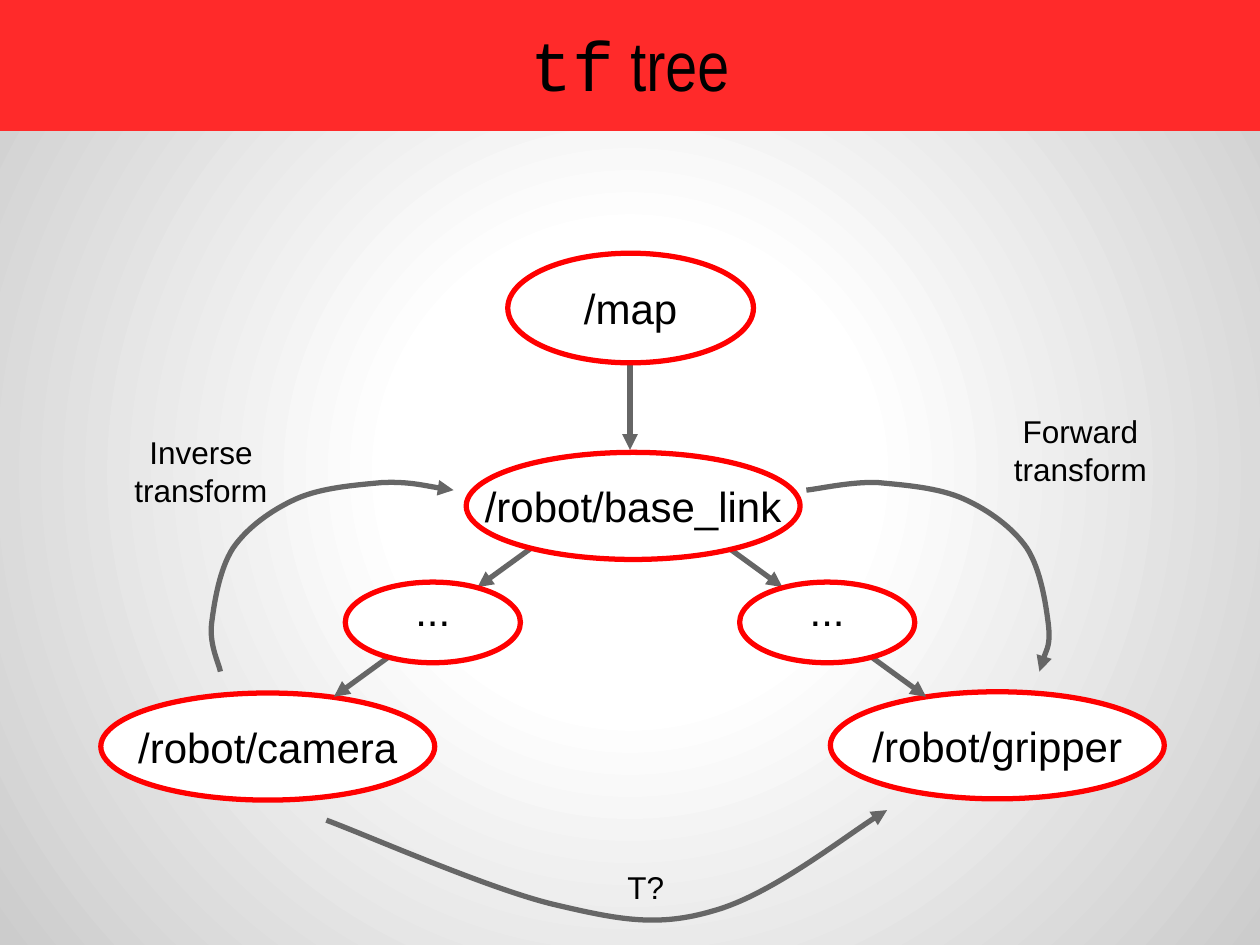
from dataclasses import dataclass

import lxml.etree
import pptx
import pptx.dml.color
import pptx.enum.dml
import pptx.enum.shapes
import pptx.enum.text
import pptx.oxml
import pptx.oxml.ns
import pptx.util

Inches = pptx.util.Inches
Pt = pptx.util.Pt
RGBColor = pptx.dml.color.RGBColor
ShapeKind = pptx.enum.shapes.MSO_SHAPE
Anchor = pptx.enum.text.MSO_ANCHOR
qn = pptx.oxml.ns.qn

BLACK = RGBColor(0x00, 0x00, 0x00)
WHITE = RGBColor(0xFF, 0xFF, 0xFF)
RED = RGBColor(0xFF, 0x00, 0x00)
BAND_RED = RGBColor(0xFF, 0x2A, 0x2A)
GRAY = RGBColor(0x66, 0x66, 0x66)

SLIDE_WIDTH = 10
LINE_WIDTH = Pt(3)

BACKGROUND = f"""<a:gradFill xmlns:a="{pptx.oxml.ns.nsdecls('a').split('"')[1]}">
<a:gsLst>
<a:gs pos="0"><a:srgbClr val="FFFFFF"/></a:gs>
<a:gs pos="30000"><a:srgbClr val="FFFFFF"/></a:gs>
<a:gs pos="100000"><a:srgbClr val="CCCCCC"/></a:gs>
</a:gsLst>
<a:path path="circle"><a:fillToRect l="50000" t="50000" r="50000" b="50000"/></a:path>
</a:gradFill>"""


@dataclass(frozen=True)
class Node:
    text: str
    left: float
    top: float
    width: float
    height: float
    lift: float = 0  # extra bottom inset that raises the text


@dataclass(frozen=True)
class Label:
    text: str
    left: float
    top: float


LEAVES = [
    Node("/robot/camera", 0.8, 5.5, 2.65, 0.85),
    Node("/robot/gripper", 6.59, 5.49, 2.65, 0.85),
]
UPPER_NODES = [
    Node("...", 2.74, 4.62, 1.39, 0.64, lift=0.2),
    Node("...", 5.87, 4.62, 1.39, 0.64, lift=0.2),
    Node("/robot/base_link", 3.7, 3.59, 2.65, 0.85),
    Node("/map", 4.03, 2.01, 1.95, 0.87),
]
LABELS = [
    Label("T?", 4.4, 6.79),
    Label("Forward transform", 7.85, 3.17),
    Label("Inverse transform", 0.87, 3.34),
]
LEFT_BRANCH = [((4.23, 4.34), (3.79, 4.66)), ((3.09, 5.21), (2.65, 5.53))]

# Each curve is a start point followed by triples of Bezier points.
CAMERA_TO_GRIPPER = [
    (2.59, 6.51), (2.89, 6.62), (3.89, 7.06), (4.4, 7.18),
    (4.91, 7.3), (5.22, 7.36), (5.66, 7.23),
    (6.1, 7.11), (6.81, 6.56), (7.04, 6.43),
]
CAMERA_TO_BASE = [
    (1.75, 5.33), (1.74, 5.27), (1.66, 5.12), (1.68, 4.95),
    (1.7, 4.79), (1.74, 4.52), (1.85, 4.35),
    (1.96, 4.19), (2.15, 4.05), (2.35, 3.96),
    (2.55, 3.87), (2.82, 3.85), (3.03, 3.83),
    (3.24, 3.82), (3.5, 3.88), (3.6, 3.89),
]


def mirror(points):
    """Reflect points about the vertical middle of the slide."""
    return [(SLIDE_WIDTH - x, y) for x, y in points]


def add_span(para, text: str, *, size: float, font: str = "Arial", color=BLACK):
    span = para.add_run()
    span.text = text
    span.font.size = Pt(size)
    span.font.name = font
    span.font.color.rgb = color
    para.alignment = pptx.enum.text.PP_ALIGN.CENTER


def set_frame(frame, *, anchor, wrap: bool, inset: float = 0.1, lift: float = 0):
    frame.word_wrap = wrap
    frame.vertical_anchor = anchor
    frame.margin_left = frame.margin_right = frame.margin_top = Inches(inset)
    frame.margin_bottom = Inches(inset + lift)


def style_arrow(shape, end: str = "tailEnd"):
    shape.line.color.rgb = GRAY
    shape.line.width = LINE_WIDTH
    outline = shape.line._get_or_add_ln()
    lxml.etree.SubElement(outline, qn(f"a:{end}"), type="triangle")


def add_arrow(page, start: tuple, end: tuple):
    arrow = page.shapes.add_connector(
        pptx.enum.shapes.MSO_CONNECTOR.STRAIGHT,
        *(Inches(value) for value in (*start, *end)))
    style_arrow(arrow)
    properties = arrow.element.find(qn("p:spPr"))
    lxml.etree.SubElement(properties, qn("a:effectLst"))


def add_curve(page, points: list, end: str = "tailEnd"):
    """Draw an open freeform, then join its point triples into Bezier curves."""
    start, *rest = [(Inches(x), Inches(y)) for x, y in points]
    builder = page.shapes.build_freeform(*start)
    builder.add_line_segments(rest, close=False)
    curve = builder.convert_to_shape()
    curve.shadow.inherit = False
    curve.fill.background()
    style_arrow(curve, end)
    outline = next(curve.element.iter(qn("a:path")))
    segments = outline.findall(qn("a:lnTo"))
    for first in range(0, len(segments), 3):
        bezier = lxml.etree.SubElement(outline, qn("a:cubicBezTo"))
        for segment in segments[first:first + 3]:
            bezier.append(segment[0])
            outline.remove(segment)


def add_node(page, node: Node):
    oval = page.shapes.add_shape(
        ShapeKind.OVAL, Inches(node.left), Inches(node.top),
        Inches(node.width), Inches(node.height))
    oval.shadow.inherit = False
    oval.fill.solid()
    oval.fill.fore_color.rgb = WHITE
    oval.line.color.rgb = RED
    oval.line.width = LINE_WIDTH
    set_frame(oval.text_frame, anchor=Anchor.MIDDLE, wrap=False,
              inset=0, lift=node.lift)
    add_span(oval.text_frame.paragraphs[0], node.text, size=24)


def add_label(page, label: Label):
    box = page.shapes.add_textbox(
        Inches(label.left), Inches(label.top), Inches(1.45), Inches(0.66))
    set_frame(box.text_frame, anchor=Anchor.TOP, wrap=True)
    add_span(box.text_frame.paragraphs[0], label.text, size=18)


def add_background(page):
    page.background.fill.solid()
    solid = next(page.element.iter(qn("p:bgPr"))).find(qn("a:solidFill"))
    solid.getparent().replace(solid, pptx.oxml.parse_xml(BACKGROUND))


def add_title(page):
    """Fill the title placeholder and lay the red band behind it."""
    title = page.shapes.title
    title.left, title.top = Inches(0), Inches(0.09)
    title.width, title.height = Inches(SLIDE_WIDTH), Inches(0.85)
    set_frame(title.text_frame, anchor=Anchor.BOTTOM, wrap=True)
    para = title.text_frame.paragraphs[0]
    add_span(para, "tf", size=40, font="Courier New")
    add_span(para, " tree", size=40, font="Arial Narrow")

    band = page.shapes.add_shape(
        ShapeKind.RECTANGLE, 0, 0, Inches(SLIDE_WIDTH), Inches(1.04))
    band.shadow.inherit = False
    band.fill.solid()
    band.fill.fore_color.rgb = BAND_RED
    band.line.fill.background()
    title.element.addprevious(band.element)


def main():
    deck = pptx.Presentation()
    deck.slide_width, deck.slide_height = Inches(SLIDE_WIDTH), Inches(7.5)
    page = deck.slides.add_slide(deck.slide_layouts[5])
    add_background(page)
    add_title(page)
    add_curve(page, CAMERA_TO_GRIPPER)
    for node in LEAVES:
        add_node(page, node)
    add_arrow(page, (5, 2.88), (5, 3.57))
    for ends in LEFT_BRANCH:
        add_arrow(page, *ends)
        add_arrow(page, *mirror(ends))
    for node in UPPER_NODES:
        add_node(page, node)
    add_curve(page, CAMERA_TO_BASE)
    add_curve(page, mirror(CAMERA_TO_BASE), end="headEnd")
    for label in LABELS:
        add_label(page, label)
    deck.save("out.pptx")


if __name__ == "__main__":
    main()
